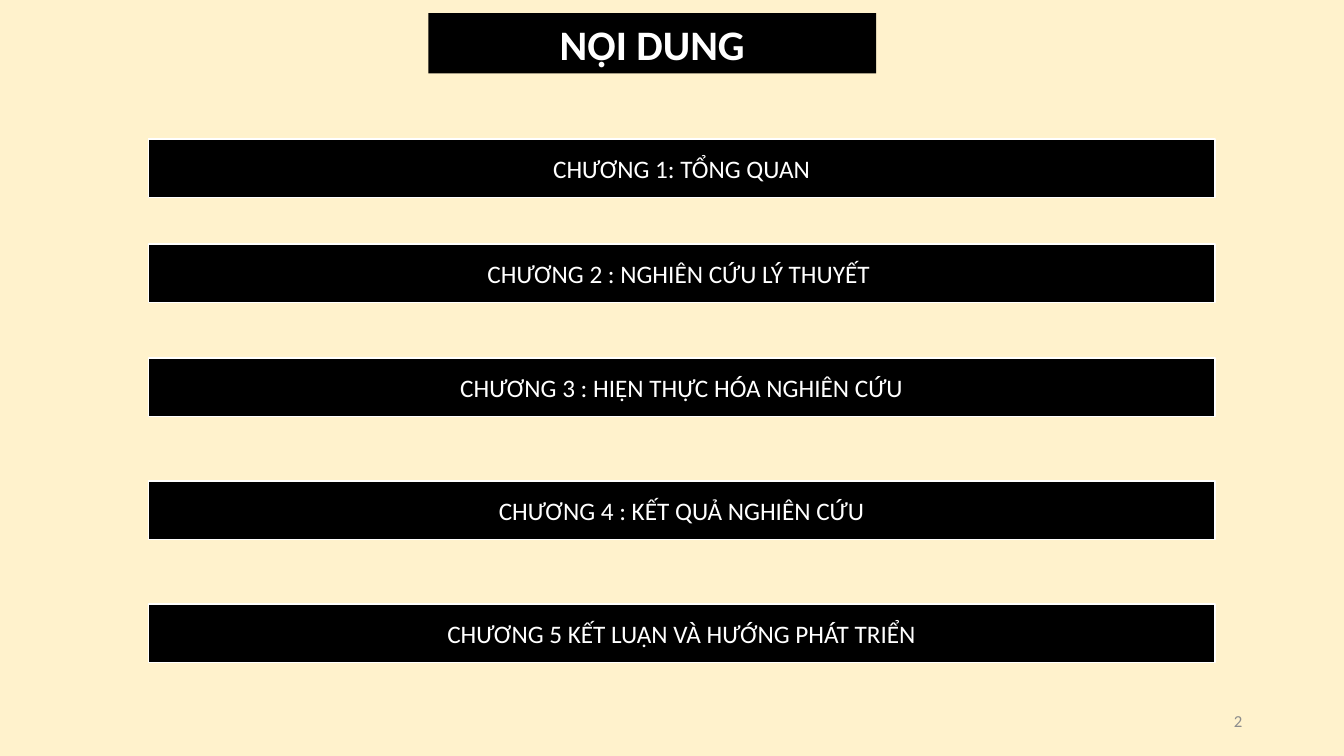
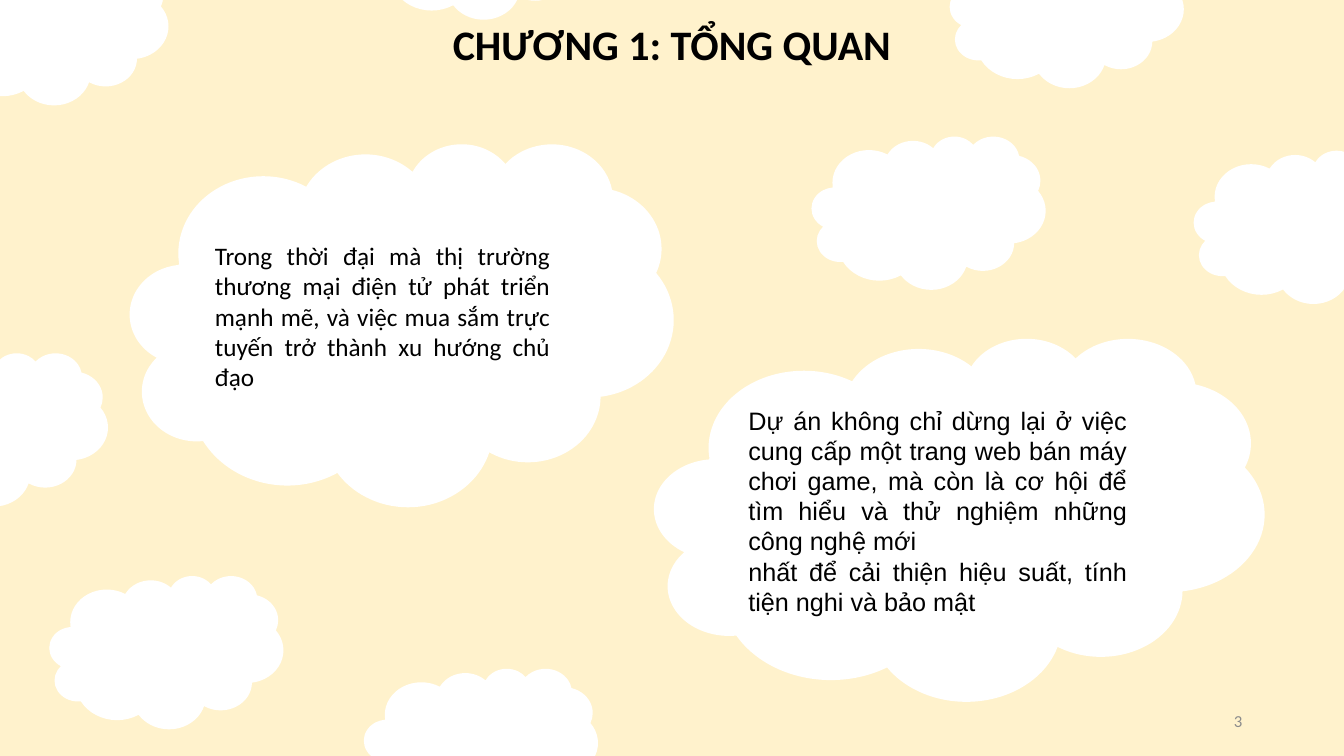
from pptx import Presentation
from pptx import util as u
from pptx.dml.color import RGBColor
from pptx.enum import shapes, text

PX = 9144
CREAM = RGBColor(0xFF, 0xF2, 0xCC)
BLACK = RGBColor(0, 0, 0)
WHITE = RGBColor(0xFF, 0xFF, 0xFF)
GREY = RGBColor(0x8C, 0x8C, 0x8C)

SLIDE_SIZE = (1333, 750)
NUMBER_BOX = (942, 695, 300, 40)
TITLE_FORMAT = {"name": "Calibri", "size": u.Pt(30), "bold": True}
BODY_FORMAT = {"name": "Calibri", "size": u.Pt(18)}
NUMBER_FORMAT = {"name": "Calibri", "size": u.Pt(12)}

CHAPTERS = [
    (138, "CHƯƠNG 1: TỔNG QUAN"),
    (242, "CHƯƠNG 2 : NGHIÊN CỨU LÝ THUYẾT "),
    (355, "CHƯƠNG 3 : HIỆN THỰC HÓA NGHIÊN CỨU"),
    (477, "CHƯƠNG 4 : KẾT QUẢ NGHIÊN CỨU"),
    (599, "CHƯƠNG 5 KẾT LUẬN VÀ HƯỚNG PHÁT TRIỂN"),
]
STATEMENTS = [
    ((129, 142, 539, 360), "Calibri", [
        "Trong thời đại mà thị trường thương mại điện tử phát triển mạnh mẽ, "
        "và việc mua sắm trực tuyến trở thành xu hướng chủ đạo",
    ]),
    ((649, 335, 605, 360), "Arial", [
        "Dự án không chỉ dừng lại ở việc cung cấp một trang web bán máy chơi "
        "game, mà còn là cơ hội để tìm hiểu và thử nghiệm những công nghệ mới",
        "nhất để cải thiện hiệu suất, tính tiện nghi và bảo mật",
    ]),
]
SMALL_CLOUD = (232, 152)
SMALL_CLOUD_CORNERS = [
    (942, -65), (49, 571), (805, 135), (361, 663),
    (-65, -48), (-125, 350), (361, -133), (1184, 149),
]


def emu(lengths):
    return [u.Emu(length * PX) for length in lengths]


def write(shape, lines, font, color, align, anchor=text.MSO_ANCHOR.MIDDLE):
    frame = shape.text_frame
    frame.word_wrap = True
    frame.vertical_anchor = anchor
    for index, line in enumerate(lines):
        para = frame.add_paragraph() if index else frame.paragraphs[0]
        para.alignment = align
        span = para.add_run()
        span.text = line
        for key, value in font.items():
            setattr(span.font, key, value)
        span.font.color.rgb = color


def add_filled(page, kind, box, fill, line=None):
    shape = page.shapes.add_shape(kind, *emu(box))
    shape.shadow.inherit = False
    shape.fill.solid()
    shape.fill.fore_color.rgb = fill
    if line is None:
        shape.line.fill.background()
    else:
        shape.line.color.rgb = line
        shape.line.width = u.Pt(1)
    return shape


def add_page(deck, number):
    page = deck.slides.add_slide(deck.slide_layouts[6])
    page.background.fill.solid()
    page.background.fill.fore_color.rgb = CREAM
    label = page.shapes.add_textbox(*emu(NUMBER_BOX))
    write(label, [str(number)], NUMBER_FORMAT, GREY, text.PP_ALIGN.RIGHT)
    return page


def add_title(page, box, title, color, fill=None):
    if fill is None:
        shape = page.shapes.add_textbox(*emu(box))
    else:
        shape = add_filled(page, shapes.MSO_SHAPE.RECTANGLE, box, fill)
    write(shape, [title], TITLE_FORMAT, color, text.PP_ALIGN.CENTER, text.MSO_ANCHOR.TOP)


def add_chapter_bar(page, box, chapter):
    bar = add_filled(page, shapes.MSO_SHAPE.RECTANGLE, box, BLACK, WHITE)
    write(bar, [chapter], BODY_FORMAT, WHITE, text.PP_ALIGN.CENTER)


def add_cloud(page, box):
    return add_filled(page, shapes.MSO_SHAPE.CLOUD, box, WHITE)


def build_contents(deck):
    page = add_page(deck, 2)
    add_title(page, (425, 13, 444, 60), "NỘI DUNG", WHITE, BLACK)
    for top, chapter in CHAPTERS:
        add_chapter_bar(page, (147, top, 1058, 58), chapter)


def build_overview(deck):
    page = add_page(deck, 3)
    add_title(page, (401, 13, 531, 60), "CHƯƠNG 1: TỔNG QUAN", BLACK)
    for box, face, lines in STATEMENTS:
        write(add_cloud(page, box), lines, {**BODY_FORMAT, "name": face}, BLACK,
              text.PP_ALIGN.JUSTIFY)
    for corner in SMALL_CLOUD_CORNERS:
        add_cloud(page, corner + SMALL_CLOUD)


def main():
    deck = Presentation()
    deck.slide_width, deck.slide_height = emu(SLIDE_SIZE)
    build_contents(deck)
    build_overview(deck)
    deck.save("out.pptx")


if __name__ == "__main__":
    main()
